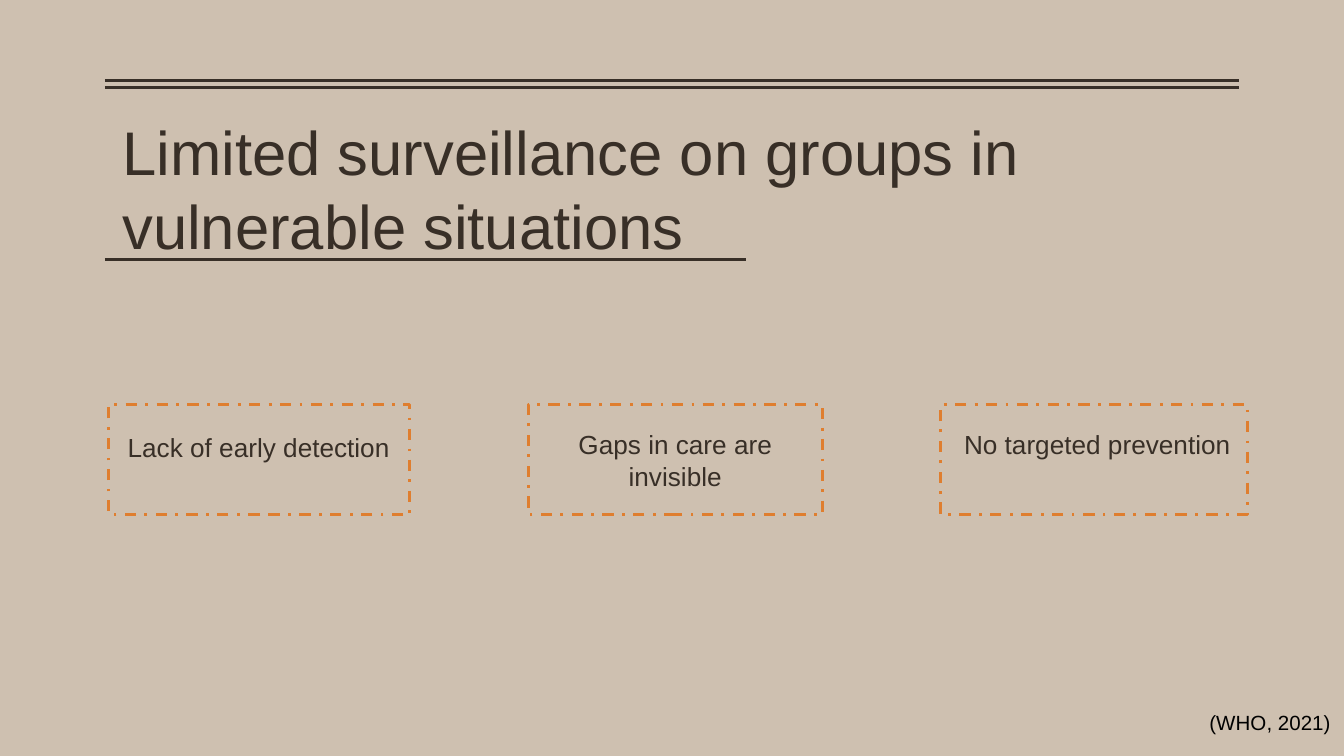
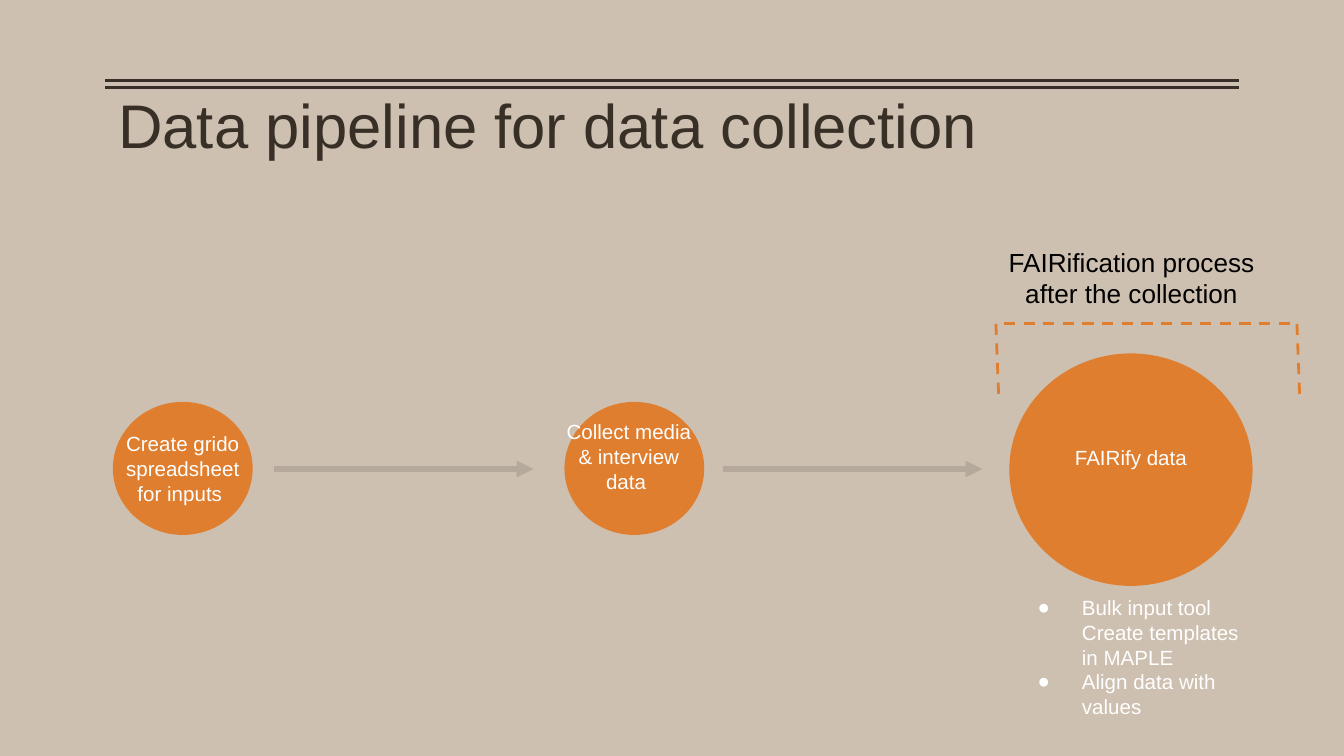
import pptx
import pptx.util
import pptx.dml.color
import pptx.enum.dml
import pptx.enum.shapes
import pptx.enum.text
import pptx.oxml.ns
import lxml.etree

Inches = pptx.util.Inches
Pt = pptx.util.Pt
Align = pptx.enum.text.PP_ALIGN
Dash = pptx.enum.dml.MSO_LINE
Kind = pptx.enum.shapes.MSO_SHAPE
qn = pptx.oxml.ns.qn

FONT = "Arial"
COLORS = {
    "sand": "CEC0B0",
    "dark": "382F27",
    "orange": "DF7E2F",
    "taupe": "B5A99B",
    "white": "FFFFFF",
    "black": "000000",
}


def color(name):
    return pptx.dml.color.RGBColor.from_string(COLORS[name])


def place(shape, box):
    shape.left, shape.top, shape.width, shape.height = map(Inches, box)


def write(frame, lines, size, ink, align=Align.LEFT, top=0.1):
    """Fill a frame with one paragraph per line, all in one style."""
    frame.word_wrap = True
    frame.vertical_anchor = pptx.enum.text.MSO_ANCHOR.TOP
    frame.margin_left = frame.margin_right = frame.margin_bottom = Inches(0.1)
    frame.margin_top = Inches(top)
    frame.text = "\n".join(lines)
    for para in frame.paragraphs:
        para.alignment = align
        para.line_spacing = 1.0
        para.space_before = para.space_after = Pt(0)
        for run in para.runs:
            run.font.name = FONT
            run.font.size = Pt(size)
            run.font.color.rgb = color(ink)


def add_text(shapes, text, box, size, ink, align=Align.CENTER):
    label = shapes.add_textbox(*map(Inches, box))
    write(label.text_frame, [text], size, ink, align)
    label.text_frame.auto_size = pptx.enum.text.MSO_AUTO_SIZE.SHAPE_TO_FIT_TEXT


def add_line(slide, start, end, ink="dark", width=1.5, dash=None, arrow=False):
    line = slide.shapes.add_connector(
        pptx.enum.shapes.MSO_CONNECTOR.STRAIGHT, *map(Inches, start + end))
    line.line.color.rgb = color(ink)
    line.line.width = Pt(width)
    if dash:
        line.line.dash_style = dash
    props = line._element.spPr
    if arrow:
        lxml.etree.SubElement(props.find(qn("a:ln")), qn("a:tailEnd"), type="triangle")
    lxml.etree.SubElement(props, qn("a:effectLst"))


def add_slide(deck, layout, title, box, top=0.1):
    """Start a slide with its title and the double rule above it."""
    slide = deck.slides.add_slide(deck.slide_layouts[layout])
    place(slide.shapes.title, box)
    write(slide.shapes.title.text_frame, [title], 33, "dark", top=top)
    slide.shapes.title.text_frame.auto_size = pptx.enum.text.MSO_AUTO_SIZE.NONE
    for y in (0.6, 0.65):
        add_line(slide, (0.78, y), (9.22, y))
    return slide


def add_frame(slide, text, box, area):
    """Dash-dot frame grouped with its label."""
    group = slide.shapes.add_group_shape()
    frame = group.shapes.add_shape(Kind.RECTANGLE, *map(Inches, box))
    frame.shadow.inherit = False
    frame.fill.background()
    frame.line.color.rgb = color("orange")
    frame.line.width = Pt(1.5)
    frame.line.dash_style = Dash.DASH_DOT
    add_text(group.shapes, text, area, 14, "dark")


def add_step(slide, text, box, area):
    """Orange disc grouped with its label."""
    group = slide.shapes.add_group_shape()
    disc = group.shapes.add_shape(Kind.OVAL, *map(Inches, box))
    disc.shadow.inherit = False
    disc.fill.solid()
    disc.fill.fore_color.rgb = color("orange")
    disc.line.fill.background()
    add_text(group.shapes, text, area, 11, "white")


def add_list(slide, items, box):
    body = slide.placeholders[1]
    place(body, box)
    write(body.text_frame, items, 11, "white")
    body.text_frame.auto_size = pptx.enum.text.MSO_AUTO_SIZE.NONE
    for para in body.text_frame.paragraphs:
        props = para._p.get_or_add_pPr()
        props.set("marL", str(Inches(0.5)))
        props.set("indent", str(Inches(-0.33)))
        tint = lxml.etree.SubElement(props, qn("a:buClr"))
        lxml.etree.SubElement(tint, qn("a:srgbClr"), val=COLORS["white"])
        lxml.etree.SubElement(props, qn("a:buFont"), typeface=FONT)
        lxml.etree.SubElement(props, qn("a:buChar"), char="●")


def add_gaps(deck):
    slide = add_slide(deck, 5, "Limited surveillance on groups in vulnerable situations",
                      (0.81, 0.75, 7.79, 1.31))
    add_line(slide, (0.78, 1.93), (5.55, 1.93))
    gaps = [
        ("Lack of early detection ", 0.81, 2.24, (0.85, 3.11, 2.15, 0.67)),
        ("Gaps in care are invisible", 3.93, 2.19, (3.86, 3.09, 2.33, 0.67)),
        ("No targeted prevention", 7, 2.28, (7, 3.09, 2.33, 0.67)),
    ]
    for text, left, width, area in gaps:
        add_frame(slide, text, (left, 3.01, width, 0.82), area)
    add_text(slide.shapes, "(WHO, 2021)", (7.76, 5.19, 2.24, 0.39), 11, "black", Align.RIGHT)


def add_pipeline(deck):
    slide = add_slide(deck, 1, "Data pipeline for data collection",
                      (0.78, 0.65, 8.44, 0.52), top=0)
    add_list(slide, ["Bulk input tool Create templates in MAPLE", "Align data with values"],
             (7.45, 4.33, 1.94, 1.13))
    steps = [
        ("Create grido spreadsheet for inputs ", (0.84, 2.99, 1.04, 0.99),
         (0.78, 3.11, 1.16, 0.76)),
        ("Collect media & interview data ", (4.2, 2.99, 1.04, 0.99),
         (4.08, 3.02, 1.2, 0.94)),
        ("FAIRify data", (7.51, 2.63, 1.81, 1.73), (7.41, 3.22, 2.01, 0.39)),
    ]
    for step in steps:
        add_step(slide, *step)
    for left in (2.04, 5.38):
        add_line(slide, (left, 3.49), (left + 1.93, 3.49), "taupe", 3, arrow=True)
    bracket = [((7.43, 2.93), (7.41, 2.41)), ((7.47, 2.41), (9.65, 2.41)),
               ((9.67, 2.93), (9.65, 2.41))]
    for start, end in bracket:
        add_line(slide, start, end, "orange", dash=Dash.DASH)
    add_text(slide.shapes, "FAIRification process after the collection",
             (7.19, 1.73, 2.46, 0.67), 14, "black")


def main():
    deck = pptx.Presentation()
    deck.slide_width = Inches(10)
    deck.slide_height = deck.slide_width * 9 // 16
    back = deck.slide_master.background.fill
    back.solid()
    back.fore_color.rgb = color("sand")
    add_gaps(deck)
    add_pipeline(deck)
    deck.save("out.pptx")


if __name__ == "__main__":
    main()
